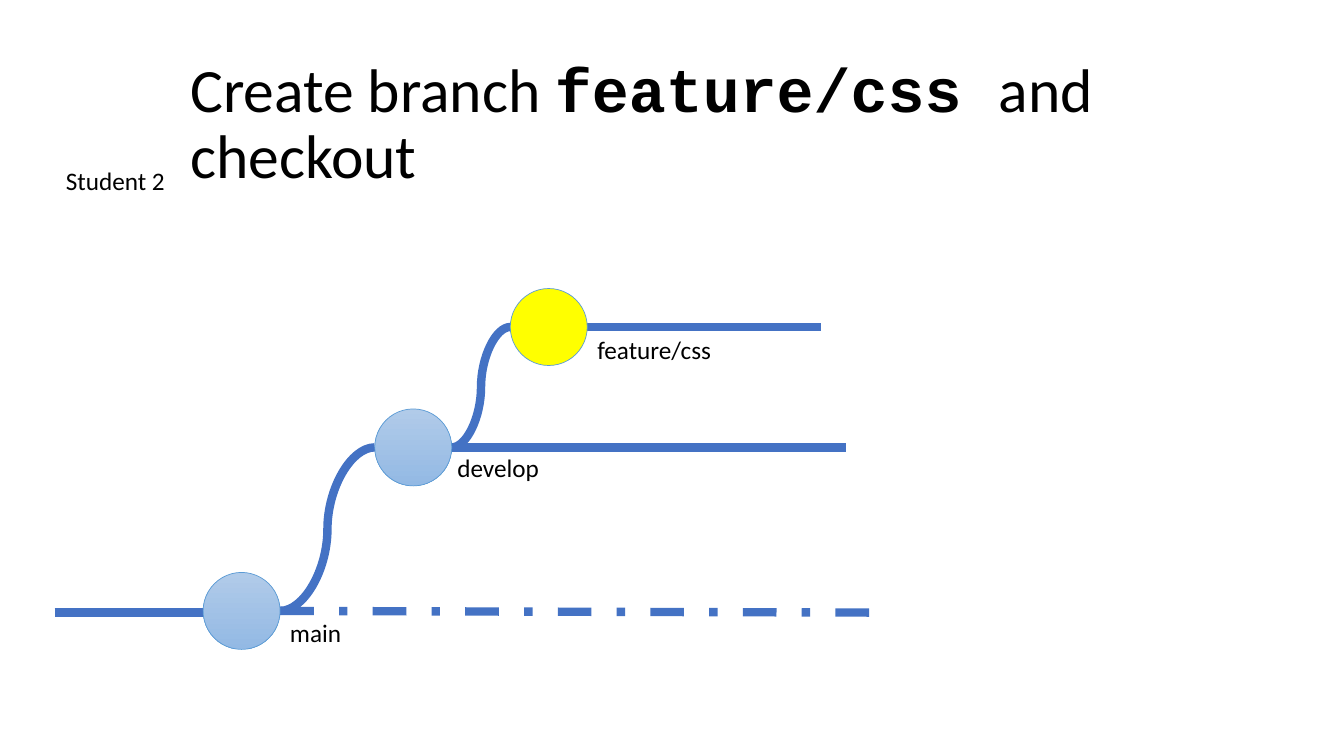
from lxml.etree import SubElement
from pptx import Presentation
from pptx.dml.color import RGBColor
from pptx.enum.dml import MSO_LINE
from pptx.enum.shapes import MSO_CONNECTOR, MSO_SHAPE
from pptx.enum.text import MSO_ANCHOR
from pptx.oxml.ns import qn
from pptx.util import Pt

COLORS = {
    "text": "000000",
    "branch": "4472C4",
    "outline": "5B9BD5",
    "commit top": "B1CBE9",
    "commit bottom": "93B9E4",
    "current": "FFFF00",
}
DIAMETER = 55
RADIUS = DIAMETER / 2


def color(name):
    return RGBColor.from_string(COLORS[name])


class BranchSlide:
    font = "Calibri"
    code_font = "Courier New"

    def __init__(self, deck):
        self.page = deck.slides.add_slide(deck.slide_layouts[6])

    def text(self, left, top, width, height, spans, size=18, anchor=MSO_ANCHOR.TOP):
        box = self.page.shapes.add_textbox(Pt(left), Pt(top), Pt(width), Pt(height))
        frame = box.text_frame
        frame.word_wrap = True
        frame.vertical_anchor = anchor
        para = frame.paragraphs[0]
        para.font.name = self.font
        para.font.size = Pt(size)
        para.font.color.rgb = color("text")
        for words, is_code in spans:
            span = para.add_run()
            span.text = words
            if is_code:
                span.font.name = self.code_font
                span.font.bold = True
        return para

    def label(self, left, top, width, words):
        self.text(left, top, width, 29, [(words, False)])

    def title(self, left, top, width, height, spans):
        para = self.text(left, top, width, height, spans, 44, MSO_ANCHOR.MIDDLE)
        para.line_spacing = 0.9

    def line(self, start, end, kind=MSO_CONNECTOR.STRAIGHT, dash=None):
        points = [Pt(value) for value in (*start, *end)]
        line = self.page.shapes.add_connector(kind, *points)
        line.line.color.rgb = color("branch")
        line.line.width = Pt(6)
        if dash:
            line.line.dash_style = dash
        SubElement(line._element.spPr, qn("a:effectLst"))

    def fork(self, parent, child):
        self.line(right_of(parent), left_of(child), MSO_CONNECTOR.CURVE)

    def commit(self, center, current=False):
        x, y = center
        circle = self.page.shapes.add_shape(
            MSO_SHAPE.OVAL, Pt(x - RADIUS), Pt(y - RADIUS), Pt(DIAMETER), Pt(DIAMETER)
        )
        circle.shadow.inherit = False
        circle.line.color.rgb = color("outline")
        circle.line.width = Pt(0.5)
        if current:
            circle.fill.solid()
            circle.fill.fore_color.rgb = color("current")
        else:
            circle.fill.gradient()
            circle.fill.gradient_angle = 270
            for stop, name in zip(circle.fill.gradient_stops, ("commit top", "commit bottom")):
                stop.color.rgb = color(name)


def left_of(center):
    return center[0] - RADIUS, center[1]


def right_of(center):
    return center[0] + RADIUS, center[1]


def main():
    deck = Presentation()
    deck.slide_width = Pt(960)
    deck.slide_height = Pt(540)
    slide = BranchSlide(deck)

    main_commit = (172.6, 436.4)
    develop_commit = (295.2, 319.6)
    feature_commit = (392, 233.6)

    slide.label(40, 114.5, 88.5, "Student 2")
    slide.line((39, 437.6), (145.3, 437.6))
    slide.line(right_of(main_commit), (638.6, 437.6), dash=MSO_LINE.DASH_DOT)
    slide.line(right_of(develop_commit), (604.6, 319.6))
    slide.line(right_of(feature_commit), (586.3, 233.6))
    slide.fork(main_commit, develop_commit)
    slide.fork(develop_commit, feature_commit)

    slide.commit(main_commit)
    slide.commit(develop_commit)
    slide.commit(feature_commit, current=True)

    slide.label(200, 437.6, 80, "main")
    slide.label(319.6, 319.6, 80, "develop")
    slide.label(419.6, 235.4, 108, "feature/css")
    slide.title(
        128.8, 37.4, 790.6, 104.4,
        [("Create branch ", False), ("feature/css ", True), ("and checkout", False)],
    )
    deck.save("out.pptx")


if __name__ == "__main__":
    main()
